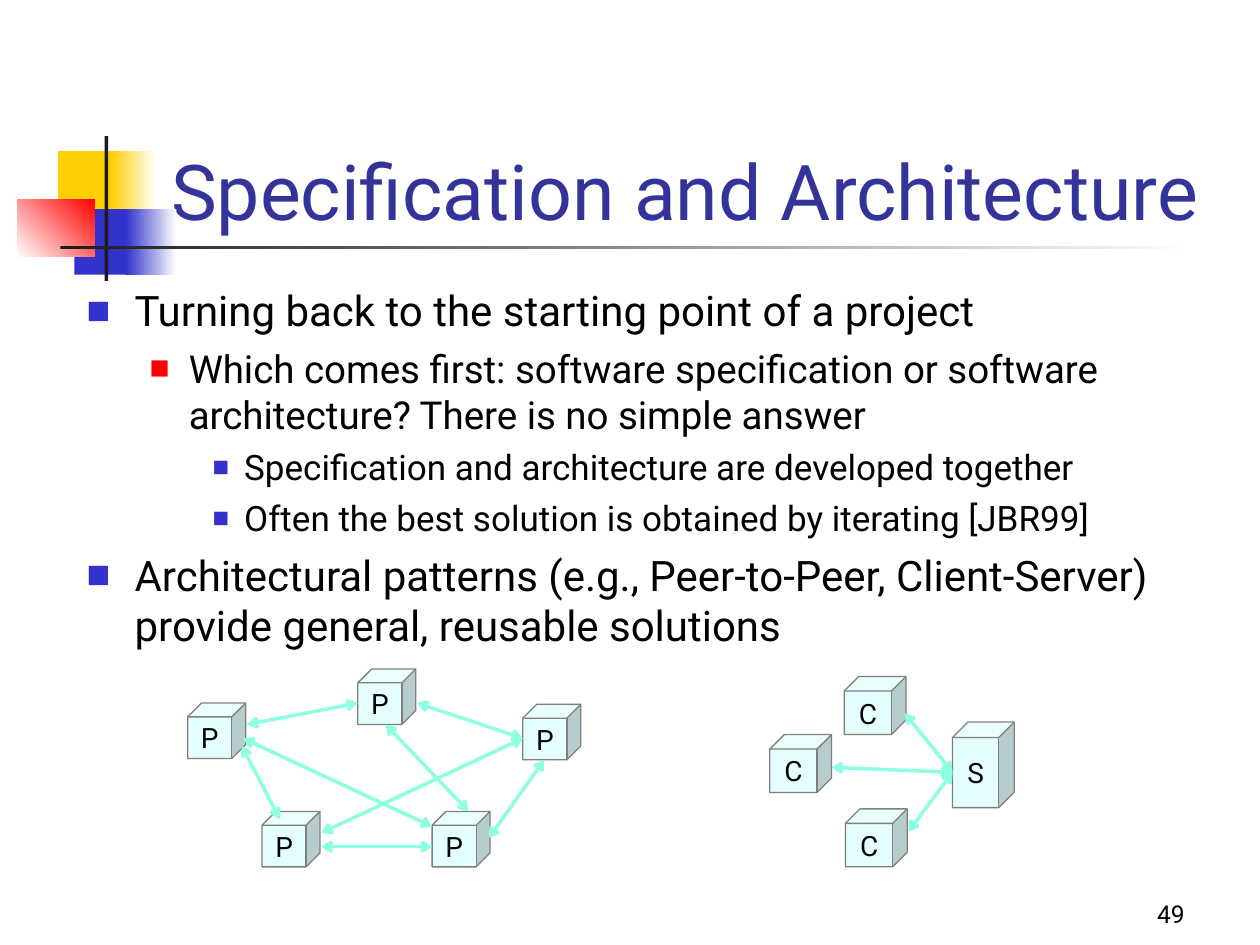
from typing import NamedTuple, Optional

from lxml.etree import SubElement
from pptx import Presentation
from pptx.dml.color import RGBColor
from pptx.enum.shapes import MSO_CONNECTOR as CONN, MSO_SHAPE as SHAPE
from pptx.enum.text import MSO_ANCHOR as ANCHOR, MSO_AUTO_SIZE as FIT, PP_ALIGN as ALIGN
from pptx.oxml.ns import qn
from pptx.util import Inches, Pt

FONT = "Roboto"
BLUE, YELLOW, RED = "3333CC", "FFCF01", "FF0000"
WHITE, BLACK, DARK = "FFFFFF", "000000", "1C1C1C"


class Block(NamedTuple):
    x: float
    y: float
    w: float
    h: float
    color: str
    end: Optional[str] = None
    angle: float = 0


class Node(NamedTuple):
    label: str
    x: float
    y: float
    w: float
    h: float


class Link(NamedTuple):
    x1: float
    y1: float
    x2: float
    y2: float


class Level(NamedTuple):
    size: float
    left: float
    hang: float
    before: float
    bullet: str
    percent: int


BLOCKS = [
    Block(0.46, 1.2, 0.48, 0.52, YELLOW),
    Block(0.88, 1.2, 0.36, 0.52, YELLOW, WHITE),
    Block(0.59, 1.66, 0.46, 0.52, BLUE),
    Block(1, 1.66, 0.4, 0.52, BLUE, WHITE),
    Block(0.14, 1.58, 0.61, 0.46, WHITE, RED, 45),
    Block(0.83, 1.08, 0.03, 1.15, DARK),
    Block(0.48, 1.95, 9, 0.03, DARK, WHITE),
]
LEVELS = [
    Level(24, 0.38, 0.38, 6, BLUE, 60),
    Level(22, 0.81, 0.31, 5.5, RED, 55),
    Level(20, 1.25, 0.25, 5, BLUE, 50),
]
BODY = [
    (0, "Turning back to the starting point of a project"),
    (1, "Which comes first: software specification or software architecture? "
        "There is no simple answer"),
    (2, "Specification and architecture are developed together"),
    (2, "Often the best solution is obtained by iterating [JBR99]"),
    (0, "Architectural patterns (e.g., Peer-to-Peer, Client-Server) "
        "provide general, reusable solutions"),
]
PEERS = [(2.84, 5.31), (4.15, 5.59), (1.49, 5.58), (2.08, 6.44), (3.43, 6.44)]
CLIENTS = [(6.7, 5.37), (6.11, 5.83), (6.71, 6.42)]
NODES = (
    [Node("P", x, y, 0.46, 0.44) for x, y in PEERS]
    + [Node("C", x, y, 0.49, 0.46) for x, y in CLIENTS]
    + [Node("S", 7.56, 5.73, 0.49, 0.68)]
)
LINKS = [
    Link(1.96, 5.75, 2.84, 5.58),
    Link(3.31, 5.58, 4.15, 5.86),
    Link(1.92, 5.92, 2.22, 6.5),
    Link(2.55, 6.72, 3.43, 6.72),
    Link(3.88, 6.65, 4.32, 6.03),
    Link(1.93, 5.86, 3.43, 6.56),
    Link(2.55, 6.61, 4.15, 5.86),
    Link(3.06, 5.75, 3.72, 6.44),
    Link(7.21, 6.6, 7.56, 6.13),
    Link(7.18, 5.66, 7.56, 6.13),
    Link(6.6, 6.09, 7.56, 6.13),
]


def rgb(color: str) -> RGBColor:
    return RGBColor.from_string(color)


def box(x: float, y: float, w: float, h: float) -> tuple:
    return Inches(x), Inches(y), Inches(w), Inches(h)


def style(p, size: float, color: str = BLACK, align=ALIGN.LEFT) -> None:
    p.alignment = align
    for r in p.runs:
        r.font.name = FONT
        r.font.size = Pt(size)
        r.font.color.rgb = rgb(color)


def add_block(s, block: Block) -> None:
    sp = s.shapes.add_shape(SHAPE.RECTANGLE, *box(*block[:4]))
    sp.shadow.inherit = False
    sp.line.fill.background()
    if block.end is None:
        sp.fill.solid()
        sp.fill.fore_color.rgb = rgb(block.color)
        return
    sp.fill.gradient()
    sp.fill.gradient_angle = block.angle
    for stop, color in zip(sp.fill.gradient_stops, (block.color, block.end)):
        stop.color.rgb = rgb(color)
    first, last = sp.fill.gradient_stops
    first.position, last.position = 0, 1


def add_title(s, text: str) -> None:
    sp = s.shapes.title
    sp.left, sp.top, sp.width, sp.height = box(1.26, 0.67, 8.52, 1.25)
    tf = sp.text_frame
    tf.text = text
    tf.auto_size = FIT.NONE
    tf.vertical_anchor = ANCHOR.BOTTOM
    style(tf.paragraphs[0], 44, "333399")


def add_bullet(p, level: Level) -> None:
    pPr = p._p.get_or_add_pPr()
    pPr.set("marL", str(Inches(level.left)))
    pPr.set("indent", str(-Inches(level.hang)))
    color = SubElement(pPr, qn("a:buClr"))
    SubElement(color, qn("a:srgbClr"), val=level.bullet)
    SubElement(pPr, qn("a:buSzPct"), val=str(level.percent * 1000))
    SubElement(pPr, qn("a:buFont"), typeface=FONT)
    SubElement(pPr, qn("a:buChar"), char="■")


def add_body(s) -> None:
    tf = s.shapes.add_textbox(*box(0.59, 2.21, 9.2, 4.5)).text_frame
    tf.word_wrap = True
    for i, (depth, text) in enumerate(BODY):
        p = tf.add_paragraph() if i else tf.paragraphs[0]
        level = LEVELS[depth]
        p.text = text
        p.level = depth
        add_bullet(p, level)
        if i:
            p.space_before = Pt(level.before)
        style(p, level.size)


def add_node(s, node: Node) -> None:
    sp = s.shapes.add_shape(SHAPE.CUBE, *box(*node[1:]))
    sp.shadow.inherit = False
    sp.fill.solid()
    sp.fill.fore_color.rgb = rgb("E5FFFF")
    sp.line.color.rgb = rgb("7F7F7F")
    sp.line.width = Pt(0.75)
    tf = sp.text_frame
    tf.text = node.label
    tf.word_wrap = False
    tf.vertical_anchor = ANCHOR.MIDDLE
    style(tf.paragraphs[0], 16, align=ALIGN.CENTER)


def add_link(s, link: Link) -> None:
    sp = s.shapes.add_connector(CONN.STRAIGHT, *box(*link))
    sp.line.color.rgb = rgb("8EFFE1")
    sp.line.width = Pt(2)
    ln = sp.line._get_or_add_ln()
    for end in ("a:headEnd", "a:tailEnd"):
        SubElement(ln, qn(end), type="arrow")
    SubElement(sp._element.spPr, qn("a:effectLst"))


def add_number(s, text: str) -> None:
    tf = s.shapes.add_textbox(*box(7.42, 6.92, 2.08, 0.5)).text_frame
    tf.text = text
    tf.word_wrap = True
    tf.vertical_anchor = ANCHOR.BOTTOM
    style(tf.paragraphs[0], 14, align=ALIGN.RIGHT)


def main() -> None:
    prs = Presentation()
    prs.slide_width, prs.slide_height = Inches(10), Inches(7.5)
    s = prs.slides.add_slide(prs.slide_layouts[5])
    for block in BLOCKS:
        add_block(s, block)
    add_number(s, "49")
    add_title(s, "Specification and Architecture")
    add_body(s)
    for node in NODES:
        add_node(s, node)
    for link in LINKS:
        add_link(s, link)
    prs.save("out.pptx")


if __name__ == "__main__":
    main()
